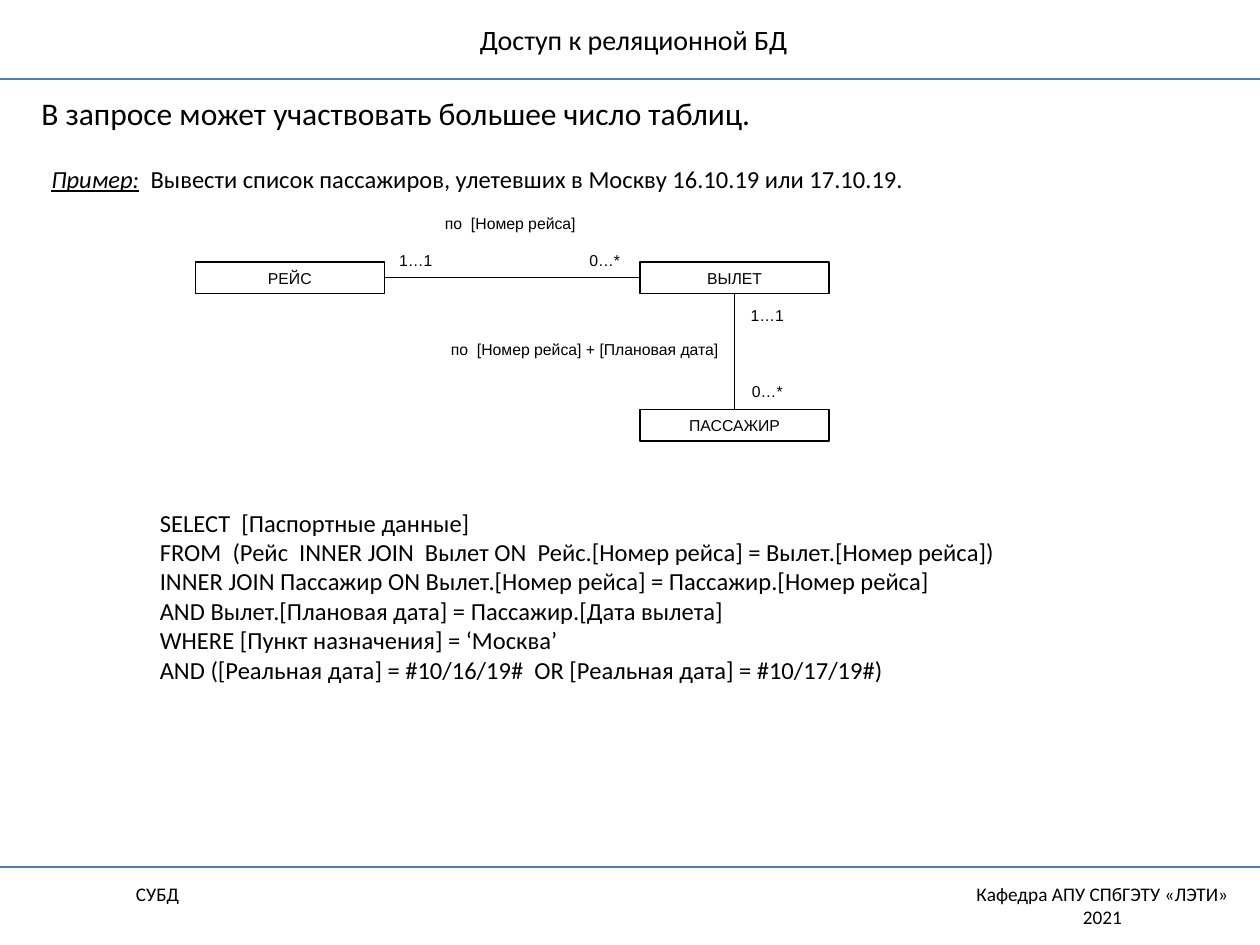
from pptx import Presentation
from pptx.dml.color import RGBColor
from pptx.enum.shapes import MSO_CONNECTOR, MSO_SHAPE
from pptx.enum.text import MSO_ANCHOR, PP_ALIGN
from pptx.oxml.ns import qn
from pptx.util import Inches, Pt

LEFT, CENTER, RIGHT = PP_ALIGN.LEFT, PP_ALIGN.CENTER, PP_ALIGN.RIGHT
TOP, MIDDLE = MSO_ANCHOR.TOP, MSO_ANCHOR.MIDDLE
RECTANGLE, STRAIGHT = MSO_SHAPE.RECTANGLE, MSO_CONNECTOR.STRAIGHT
SIDE_TOP, SIDE_LEFT, SIDE_BOTTOM, SIDE_RIGHT = range(4)

COLUMNS, ROWS = 100, 75
UNIT = Inches(0.1)
BLACK, WHITE, RULE_BLUE = "000000", "FFFFFF", "4A7EBB"

QUERY = [
    "SELECT  [Паспортные данные]",
    "FROM  (Рейс  INNER JOIN  Вылет ON  Рейс.[Номер рейса] = Вылет.[Номер рейса])",
    "INNER JOIN Пассажир ON Вылет.[Номер рейса] = Пассажир.[Номер рейса]",
    "AND Вылет.[Плановая дата] = Пассажир.[Дата вылета]",
    "WHERE [Пункт назначения] = ‘Москва’",
    "AND ([Реальная дата] = #10/16/19#  OR [Реальная дата] = #10/17/19#)",
]


def color(hex_value):
    return RGBColor.from_string(hex_value)


def grid(*cells):
    """Turn counts of columns and rows into lengths."""
    return [round(cell * UNIT) for cell in cells]


def write(shape, lines, font_name, size, align, anchor=TOP, insets=(0.1, 0.05)):
    frame = shape.text_frame
    frame.word_wrap = True
    frame.vertical_anchor = anchor
    side, top = insets
    frame.margin_left = frame.margin_right = Inches(side)
    frame.margin_top = Inches(top)
    frame.text = "\n".join(lines)
    for paragraph in frame.paragraphs:
        paragraph.alignment = align
        paragraph.font.name = font_name
        paragraph.font.size = Pt(size)
        paragraph.font.color.rgb = color(BLACK)


def add_text(slide, cells, lines, size, align=LEFT, anchor=TOP):
    box = slide.shapes.add_textbox(*grid(*cells))
    write(box, lines, "Calibri", size, align, anchor)
    return box.text_frame


def add_rectangle(slide, cells, text, insets, align=CENTER):
    shape = slide.shapes.add_shape(RECTANGLE, *grid(*cells))
    shape.shadow.inherit = False
    shape.fill.solid()
    shape.fill.fore_color.rgb = color(WHITE)
    shape.line.fill.background()
    shape.text_frame.margin_bottom = 0
    write(shape, [text], "Arial", 9, align, insets=insets)
    return shape


def add_entity(slide, column, row, name):
    shape = add_rectangle(slide, (column, row, 15, 2.5), name, (0.06, 0.05))
    shape.line.color.rgb = color(BLACK)
    shape.line.width = Pt(0.75)
    return shape


def add_multiplicity(slide, column, row, text):
    add_rectangle(slide, (column, row, 5, 2.5), text, (0, 0.04))


def add_line(slide, hex_value, width, cells=(0, 0, 0, 0)):
    line = slide.shapes.add_connector(STRAIGHT, *grid(*cells))
    line.line.color.rgb = color(hex_value)
    line.line.width = Pt(width)
    properties = line._element.spPr
    properties.append(properties.makeelement(qn("a:effectLst"), {}))
    return line


def join(slide, start, start_side, end, end_side):
    line = add_line(slide, BLACK, 0.75)
    line.begin_connect(start, start_side)
    line.end_connect(end, end_side)


def add_frame(slide):
    """Title, footer and the two rules that bound the content."""
    add_text(slide, (7.8, 0.8, 85, 4.7), ["Доступ к реляционной БД"], 16, CENTER, MIDDLE)
    add_text(slide, (0, 69.5, 25, 2.9), ["СУБД"], 11, CENTER)
    add_text(slide, (75, 69.5, 25, 4.7), ["Кафедра АПУ СПбГЭТУ «ЛЭТИ»", "2021"], 11, CENTER)
    for row in (6.3, 68.8):
        add_line(slide, RULE_BLUE, 1.25, (0, row, COLUMNS, row))


def add_example(slide):
    frame = add_text(slide, (3.1, 12.5, 72.7, 3.4), ["Пример:"], 14)
    paragraph = frame.paragraphs[0]
    heading = paragraph.runs[0].font
    heading.italic = heading.underline = True
    paragraph.add_run().text = "  Вывести список пассажиров, улетевших в Москву 16.10.19 или 17.10.19."


def add_diagram(slide):
    add_multiplicity(slide, 30.5, 19.5, "1…1")
    add_multiplicity(slide, 45.5, 19.5, "0…*")
    add_multiplicity(slide, 58.4, 23.9, "1…1")
    add_multiplicity(slide, 58.4, 29.9, "0…*")
    add_rectangle(slide, (30.5, 17, 20, 1.9), "по  [Номер рейса]", (0, 0))
    add_rectangle(slide, (32.8, 27, 24.2, 2.8),
                  "по  [Номер рейса] + [Плановая дата]", (0, 0), RIGHT)
    flight = add_entity(slide, 15.5, 20.8, "РЕЙС")
    departure = add_entity(slide, 50.8, 20.8, "ВЫЛЕТ")
    passenger = add_entity(slide, 50.8, 32.5, "ПАССАЖИР")
    join(slide, flight, SIDE_RIGHT, departure, SIDE_LEFT)
    join(slide, departure, SIDE_BOTTOM, passenger, SIDE_TOP)


def main():
    presentation = Presentation()
    presentation.slide_width, presentation.slide_height = grid(COLUMNS, ROWS)
    slide = presentation.slides.add_slide(presentation.slide_layouts[6])
    add_frame(slide)
    add_text(slide, (2.3, 7, 97.7, 4), ["В запросе может участвовать большее число таблиц."], 18)
    add_example(slide)
    add_diagram(slide)
    add_text(slide, (11.7, 39.8, 78.9, 15), QUERY, 14)
    presentation.save("out.pptx")


if __name__ == "__main__":
    main()
